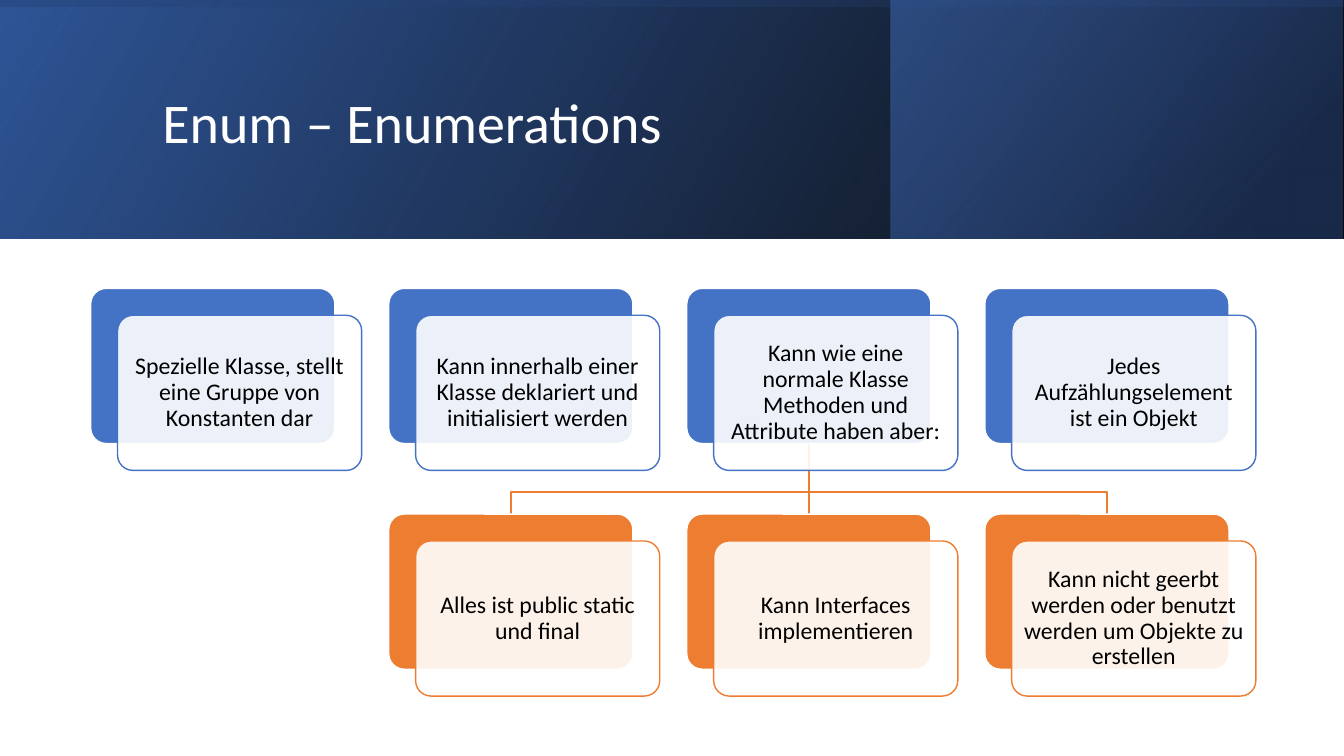
"""Build the slide about enumerations with its two rows of cards."""
from dataclasses import dataclass
from typing import Any

import lxml.etree
import pptx
import pptx.dml.color
import pptx.enum.shapes
import pptx.enum.text
import pptx.oxml.ns
import pptx.util

Pt = pptx.util.Pt
SHAPES = pptx.enum.shapes.MSO_SHAPE
TEXT = pptx.enum.text
BLUE, ORANGE, WHITE, BLACK = "4472C4", "ED7D31", "FFFFFF", "000000"
SLIDE_WIDTH, SLIDE_HEIGHT, HEADER_HEIGHT = 960, 540, 170.6
GRID_LEFT, GRID_TOP = 64.8, 206
COLUMN_STEP, ROW_STEP = 212.9, 161.2
CARD_WIDTH, CARD_HEIGHT = 174.4, 110.8
FRONT_SHIFT = 19.2
BRANCH_DROP = 34.6
PARENT_COLUMN = 2


@dataclass
class GradientStop:
    """One colour stop with position and opacity in percent."""
    position: int
    colour: str
    opacity: int


@dataclass
class Band:
    """One gradient layer of the header."""
    left: float
    top: float
    width: float
    height: float
    rotation: int
    angle: int
    stops: tuple[GradientStop, GradientStop]


@dataclass
class Card:
    """One statement at its place in the grid."""
    column: int
    row: int
    colour: str
    statement: str


BANDS = [
    Band(0, 0, SLIDE_WIDTH, HEADER_HEIGHT, 0, 30,
         (GradientStop(0, BLACK, 96), GradientStop(100, "2F5597", 100))),
    Band(636.5, 0, 322.6, HEADER_HEIGHT, 0, 40,
         (GradientStop(19, "203864", 68), GradientStop(100, BLUE, 48))),
    Band((SLIDE_WIDTH - HEADER_HEIGHT) / 2, (HEADER_HEIGHT - SLIDE_WIDTH) / 2,
         HEADER_HEIGHT, SLIDE_WIDTH, 270, 10,
         (GradientStop(23, "2F5597", 16), GradientStop(99, BLACK, 45))),
]
CARDS = [
    Card(0, 0, BLUE, "Spezielle Klasse, stellt eine Gruppe von Konstanten dar"),
    Card(1, 0, BLUE, "Kann innerhalb einer Klasse deklariert und initialisiert werden"),
    Card(2, 0, BLUE, "Kann wie eine normale Klasse Methoden und Attribute haben aber:"),
    Card(3, 0, BLUE, "Jedes Aufzählungselement ist ein Objekt"),
    Card(1, 1, ORANGE, "Alles ist public static und final"),
    Card(2, 1, ORANGE, "Kann Interfaces implementieren"),
    Card(3, 1, ORANGE, "Kann nicht geerbt werden oder benutzt werden um Objekte zu erstellen"),
]


def apply_format(target: Any, values: dict[str, Any]) -> None:
    """Set every named attribute on the target."""
    for name, value in values.items():
        setattr(target, name, value)


def set_colour(target: Any, colour: str) -> None:
    """Give a colour format its hex value."""
    target.rgb = pptx.dml.color.RGBColor.from_string(colour)


def set_opacity(shape: Any, percents: list[int]) -> None:
    """Give the fill colours of a shape their opacity, in order."""
    colours = shape.element.spPr.xpath("./a:solidFill/a:srgbClr | ./a:gradFill//a:srgbClr")
    for colour, percent in zip(colours, percents):
        alpha = lxml.etree.SubElement(colour, pptx.oxml.ns.qn("a:alpha"))
        alpha.set("val", str(percent * 1000))


def set_line(shape: Any, colour: str) -> None:
    """Draw the outline one point wide."""
    set_colour(shape.line.color, colour)
    shape.line.width = Pt(1)


def write(frame: Any, wording: str, size: float, colour: str, alignment: Any) -> None:
    """Write one formatted paragraph, centred vertically."""
    apply_format(frame, {"text": wording, "word_wrap": True,
                         "vertical_anchor": TEXT.MSO_ANCHOR.MIDDLE})
    paragraph = frame.paragraphs[0]
    apply_format(paragraph, {"alignment": alignment, "line_spacing": 0.9})
    apply_format(paragraph.runs[0].font, {"name": "Calibri", "size": Pt(size)})
    set_colour(paragraph.runs[0].font.color, colour)


def draw_band(slide: Any, band: Band) -> None:
    """Draw one mirrored gradient layer."""
    layer = slide.shapes.add_shape(SHAPES.RECTANGLE, Pt(band.left), Pt(band.top),
                                   Pt(band.width), Pt(band.height))
    layer.shadow.inherit = False
    layer.rotation = band.rotation
    layer.element.spPr.xfrm.set("flipH", "1")
    layer.line.fill.background()
    layer.fill.gradient()
    layer.fill.gradient_angle = band.angle
    for target, stop in zip(layer.fill.gradient_stops, band.stops):
        target.position = stop.position / 100
        set_colour(target.color, stop.colour)
    set_opacity(layer, [stop.opacity for stop in band.stops])


def draw_panel(slide: Any, left: float, top: float, fill: str, outline: str) -> Any:
    """Draw one rounded panel of a card."""
    panel = slide.shapes.add_shape(SHAPES.ROUNDED_RECTANGLE, Pt(left), Pt(top),
                                   Pt(CARD_WIDTH), Pt(CARD_HEIGHT))
    panel.shadow.inherit = False
    panel.adjustments[0] = 0.1
    panel.fill.solid()
    set_colour(panel.fill.fore_color, fill)
    set_line(panel, outline)
    return panel


def draw_card(slide: Any, card: Card) -> None:
    """Draw the coloured back panel and the statement in front of it."""
    left = GRID_LEFT + card.column * COLUMN_STEP
    top = GRID_TOP + card.row * ROW_STEP
    draw_panel(slide, left, top, card.colour, WHITE)
    front = draw_panel(slide, left + FRONT_SHIFT, top + FRONT_SHIFT, WHITE, card.colour)
    set_opacity(front, [90])
    sides = ("left", "top", "right", "bottom")
    apply_format(front.text_frame, {f"margin_{side}": Pt(5) for side in sides})
    write(front.text_frame, card.statement, 17, BLACK, TEXT.PP_ALIGN.CENTER)


def draw_branch(slide: Any, column: int) -> None:
    """Join the parent card to the card below in the given column."""
    start, end = (Pt(GRID_LEFT + place * COLUMN_STEP + CARD_WIDTH / 2)
                  for place in (PARENT_COLUMN, column))
    top, bottom = Pt(GRID_TOP + CARD_HEIGHT), Pt(GRID_TOP + ROW_STEP)
    if column == PARENT_COLUMN:
        branch = slide.shapes.add_connector(
            pptx.enum.shapes.MSO_CONNECTOR.STRAIGHT, start, top, end, bottom)
        set_line(branch, ORANGE)
        lxml.etree.SubElement(branch.element.spPr, pptx.oxml.ns.qn("a:effectLst"))
        return
    bend = top + Pt(BRANCH_DROP)
    outline = slide.shapes.build_freeform(start, top)
    outline.add_line_segments([(start, bend), (end, bend), (end, bottom)], close=False)
    branch = outline.convert_to_shape()
    branch.shadow.inherit = False
    branch.fill.background()
    set_line(branch, ORANGE)


def main() -> None:
    """Assemble and save the slide."""
    deck = pptx.Presentation()
    apply_format(deck, {"slide_width": Pt(SLIDE_WIDTH), "slide_height": Pt(SLIDE_HEIGHT)})
    slide = deck.slides.add_slide(deck.slide_layouts[5])
    for band in BANDS:
        draw_band(slide, band)
    heading = slide.shapes.title
    heading.element.getparent().append(heading.element)
    apply_format(heading, {"left": Pt(108.8), "top": Pt(27.4),
                           "width": Pt(765.4), "height": Pt(123.8)})
    write(heading.text_frame, "Enum – Enumerations", 40, WHITE, TEXT.PP_ALIGN.LEFT)
    for column in (3, 2, 1):
        draw_branch(slide, column)
    for card in CARDS:
        draw_card(slide, card)
    deck.save("out.pptx")


main()
